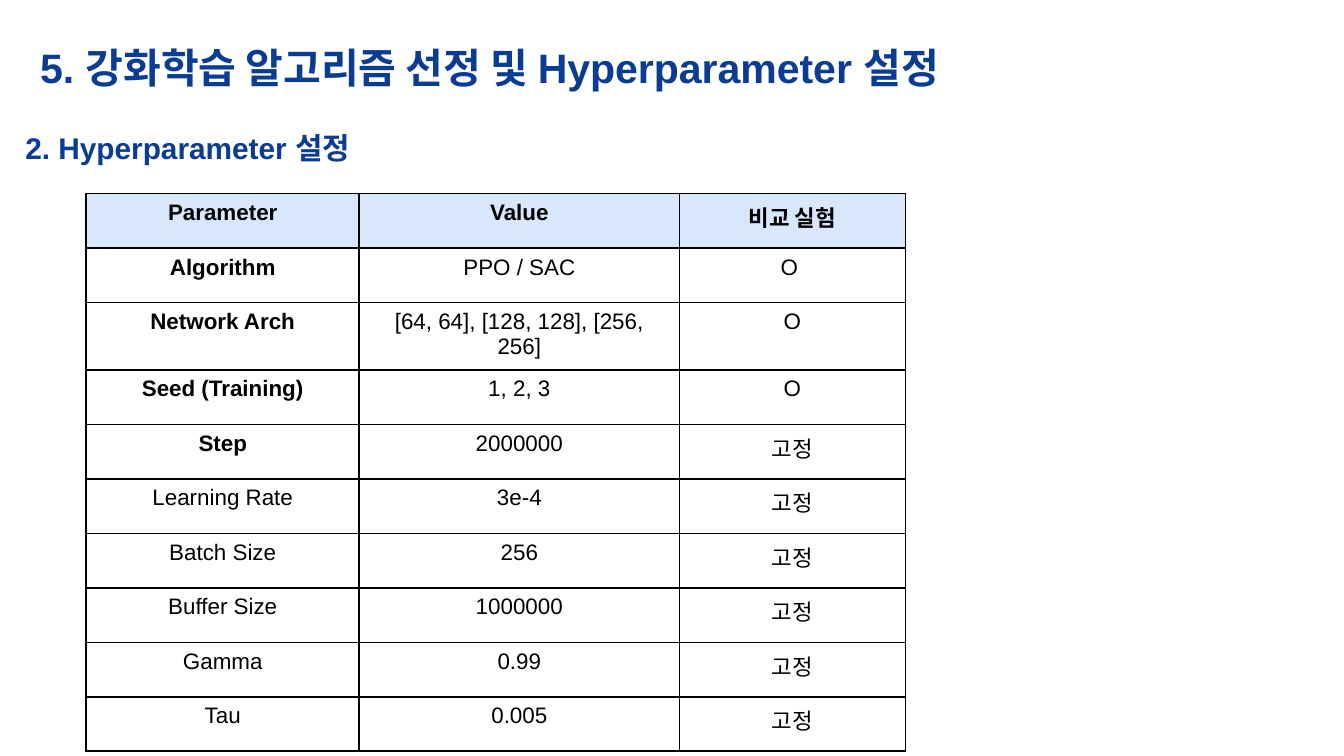
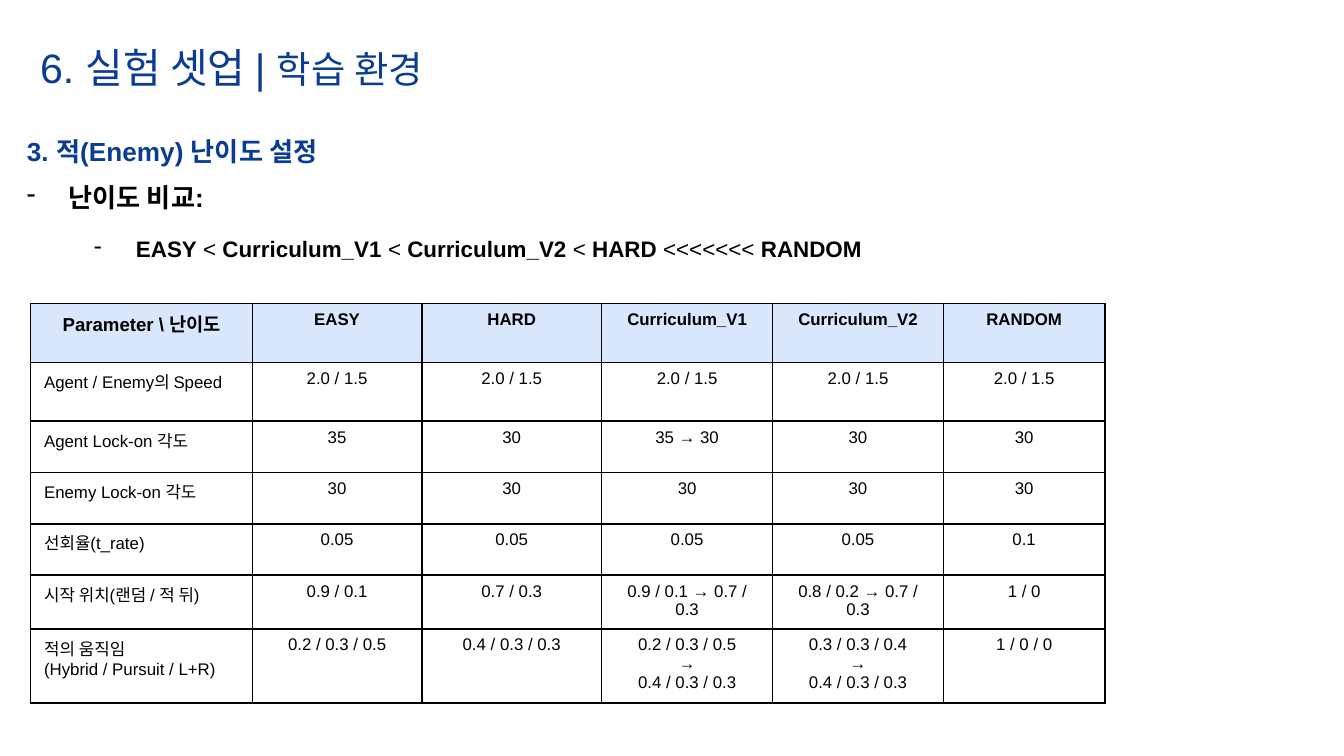
from lxml.etree import SubElement
from pptx import Presentation
from pptx.dml.color import RGBColor
from pptx.enum.text import MSO_ANCHOR as Anchor, PP_ALIGN as Align
from pptx.oxml.ns import qn
from pptx.util import Cm, Pt

FONT = "Arial"
NAVY, BLACK, HEADER_BLUE = "093C92", "000000", "D9E7FD"
TITLE_BOX = (0.58, 0.74, 24.13, 1.17)

HYPERPARAMETERS = [
    ["Parameter", "Value", "비교 실험"],
    ["Algorithm", "PPO / SAC", "O "],
    ["Network Arch", "[64, 64], [128, 128], [256, 256]", "O"],
    ["Seed (Training)", "1, 2, 3", "O"],
    ["Step", "2000000", "고정"],
    ["Learning Rate", "3e-4", "고정"],
    ["Batch Size", "256", "고정"],
    ["Buffer Size", "1000000", "고정"],
    ["Gamma", "0.99", "고정"],
    ["Tau", "0.005", "고정"],
]
COMPARED_ROWS = 5

DIFFICULTIES = [
    ["Parameter \\ 난이도", "EASY", "HARD", "Curriculum_V1", "Curriculum_V2", "RANDOM"],
    ["Agent / Enemy의 Speed"] + ["2.0 / 1.5"] * 5,
    ["Agent Lock-on 각도", "35", "30", "35 → 30", "30", "30"],
    ["Enemy Lock-on 각도"] + ["30"] * 5,
    ["선회율(t_rate)"] + ["0.05"] * 4 + ["0.1"],
    ["시작 위치(랜덤 / 적 뒤)", "0.9 / 0.1", "0.7 / 0.3",
     "0.9 / 0.1 → 0.7 / 0.3", "0.8 / 0.2 → 0.7 / 0.3", "1 / 0"],
    ["적의 움직임\n(Hybrid / Pursuit / L+R)", "0.2 / 0.3 / 0.5", "0.4 / 0.3 / 0.3",
     "0.2 / 0.3 / 0.5\n→\n0.4 / 0.3 / 0.3",
     "0.3 / 0.3 / 0.4\n→\n0.4 / 0.3 / 0.3", "1 / 0 / 0"],
]


def rgb(hex_code):
    """Turn a hex string into a colour."""
    return RGBColor.from_string(hex_code)


def style_run(run, size, color=BLACK, bold=False):
    """Apply the shared font with a size, colour and weight."""
    run.font.name = FONT
    run.font.size = Pt(size)
    run.font.bold = bold
    run.font.color.rgb = rgb(color)


def add_runs(paragraph, parts, size, color=BLACK):
    """Write (text, bold) parts into one paragraph."""
    for text, bold in parts:
        run = paragraph.add_run()
        run.text = text
        style_run(run, size, color, bold)


def add_text_frame(slide, box):
    """Add a wrapping text box and return its frame."""
    frame = slide.shapes.add_textbox(*map(Cm, box)).text_frame
    frame.word_wrap = True
    frame.margin_left = frame.margin_right = Cm(0.18)
    frame.margin_top = frame.margin_bottom = Cm(0.1)
    return frame


def add_title(slide, box, title, bold, subtitle=""):
    """Place the slide title with an optional smaller subtitle."""
    frame = add_text_frame(slide, box)
    frame.vertical_anchor = Anchor.MIDDLE
    heading = frame.paragraphs[0]
    heading.line_spacing = 0.9
    add_runs(heading, [(title, bold)], 22, NAVY)
    if subtitle:
        add_runs(heading, [(subtitle, bold)], 20, NAVY)


def add_section(slide, box, heading, size):
    """Place a section heading and return its frame for further lines."""
    frame = add_text_frame(slide, box)
    frame.paragraphs[0].space_before = Pt(8)
    add_runs(frame.paragraphs[0], [(heading, True)], size, NAVY)
    return frame


def add_dash_line(frame, parts, size, level, indent, space):
    """Append a dashed line with a hanging indent."""
    line = frame.add_paragraph()
    line.level = level
    line.space_before = Pt(space)
    add_runs(line, parts, size)
    props = line._p.get_or_add_pPr()
    props.set("marL", str(Cm(indent)))
    props.set("indent", str(-Cm(0.79)))
    SubElement(SubElement(props, qn("a:buClr")), qn("a:srgbClr"), val=BLACK)
    SubElement(props, qn("a:buChar"), char="-")


def add_borders(cell):
    """Draw a thin black line on each side of a cell."""
    props = cell._tc.get_or_add_tcPr()
    for side in ("lnL", "lnR", "lnT", "lnB"):
        border = SubElement(props, qn(f"a:{side}"), w=str(Pt(1)))
        SubElement(SubElement(border, qn("a:solidFill")), qn("a:srgbClr"), val=BLACK)


def add_grid(slide, origin, widths, heights, rows, cell_style):
    """Place a bordered table; cell_style gives size, bold and alignment by row and column."""
    box = (*origin, sum(widths), sum(heights))
    table = slide.shapes.add_table(len(rows), len(widths), *map(Cm, box)).table
    table.first_row = table.horz_banding = False
    for column, width in zip(table.columns, widths):
        column.width = Cm(width)
    for r, (height, texts) in enumerate(zip(heights, rows)):
        table.rows[r].height = Cm(height)
        for c, text in enumerate(texts):
            cell = table.cell(r, c)
            add_borders(cell)
            if r == 0:
                cell.fill.solid()
                cell.fill.fore_color.rgb = rgb(HEADER_BLUE)
            else:
                cell.fill.background()
            size, bold, align = cell_style(r, c)
            cell.text_frame.text = text
            for paragraph in cell.text_frame.paragraphs:
                paragraph.alignment = align
                for run in paragraph.runs:
                    style_run(run, size, bold=bold)


def hyperparameter_style(r, c):
    """Make the header and the names of the compared parameters bold."""
    return 12, r == 0 or (c == 0 and r < COMPARED_ROWS), Align.CENTER


def difficulty_style(r, c):
    """Make the header bold and align parameter names to the left."""
    return (10 if r == c == 0 else 9), r == 0, Align.LEFT if r and c == 0 else Align.CENTER


def build_hyperparameters(slide):
    """Build the slide of hyperparameter settings."""
    add_title(slide, TITLE_BOX, "5. 강화학습 알고리즘 선정 및 Hyperparameter 설정", True)
    add_section(slide, (0.3, 2.36, 23.65, 11.18), "2. Hyperparameter 설정", 16)
    add_grid(slide, (1.63, 3.66), [5.16, 6.05, 4.27], [1.03] * len(HYPERPARAMETERS),
             HYPERPARAMETERS, hyperparameter_style)


def build_difficulties(slide):
    """Build the slide of enemy difficulty settings."""
    add_title(slide, TITLE_BOX, "6. 실험 셋업 | ", False, "학습 환경")
    section = add_section(slide, (0.33, 2.46, 23.65, 11.18), "3. 적(Enemy) 난이도 설정", 14)
    add_dash_line(section, [("난이도 비교:", True)], 14, 0, 0.79, 8)
    ranking = [("EASY", True), (" < ", False), ("Curriculum_V1 ", True), ("< ", False),
               ("Curriculum_V2 ", True), ("< ", False), ("HARD ", True),
               ("<<<<<<< ", False), ("RANDOM", True)]
    add_dash_line(section, ranking, 12, 1, 2.06, 12)
    add_grid(slide, (0.58, 5.74), [4.19, 3.2, 3.4, 3.23, 3.23, 3.05],
             [1.11] * 2 + [0.97] * 4 + [1.11], DIFFICULTIES, difficulty_style)


def main():
    """Build and save the deck."""
    deck = Presentation()
    deck.slide_width, deck.slide_height = Cm(25.4), Cm(14.29)
    blank = deck.slide_layouts[6]
    for build in (build_hyperparameters, build_difficulties):
        build(deck.slides.add_slide(blank))
    deck.save("out.pptx")


if __name__ == "__main__":
    main()
